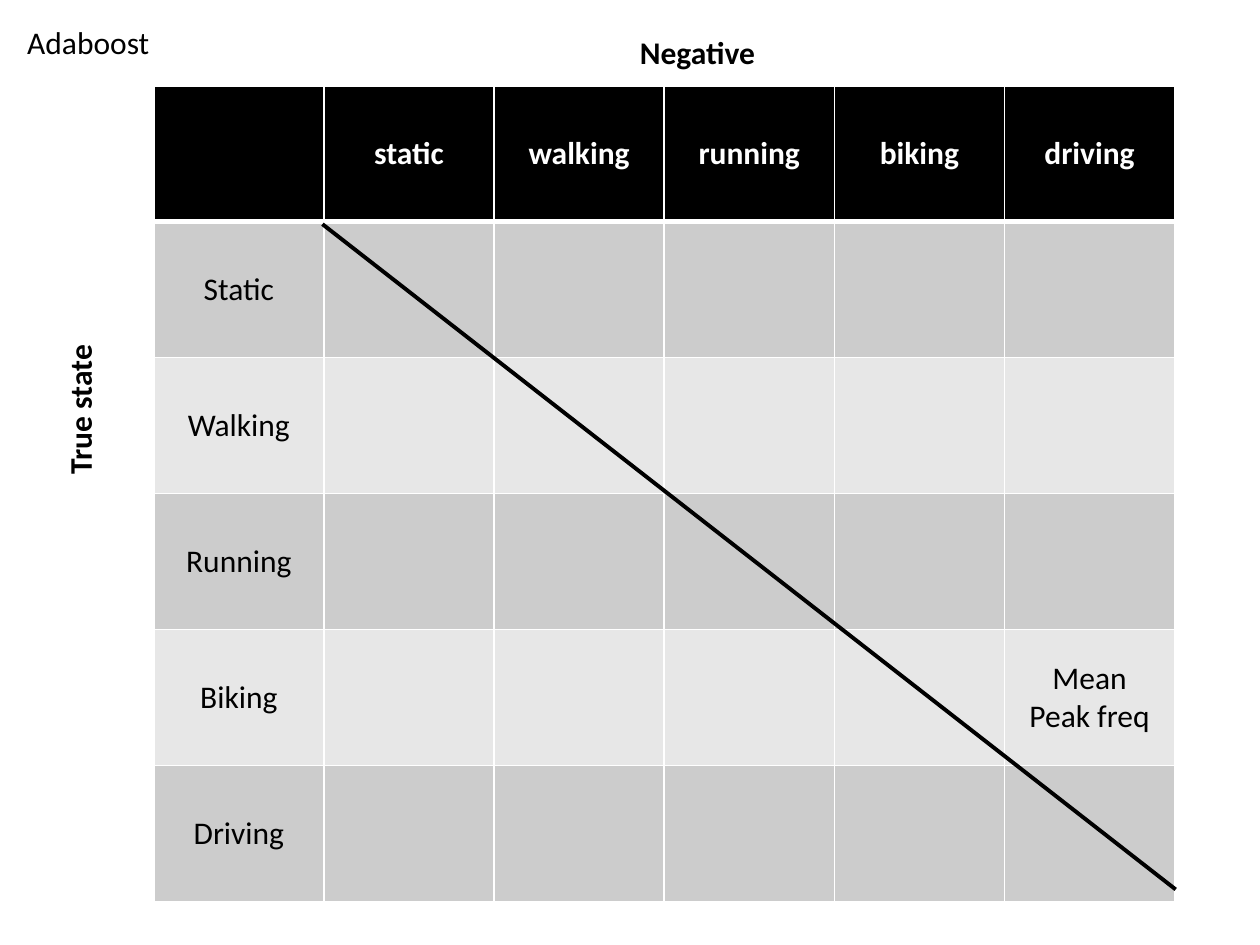
from dataclasses import dataclass

from lxml import etree
from pptx import Presentation
from pptx.dml.color import RGBColor
from pptx.enum.shapes import MSO_CONNECTOR
from pptx.enum.text import MSO_ANCHOR, MSO_AUTO_SIZE, PP_ALIGN
from pptx.oxml.ns import qn
from pptx.util import Cm, Pt

STRAIGHT = MSO_CONNECTOR.STRAIGHT
MIDDLE = MSO_ANCHOR.MIDDLE
CENTER = PP_ALIGN.CENTER
GROW = MSO_AUTO_SIZE.SHAPE_TO_FIT_TEXT


@dataclass(frozen=True)
class Theme:
    font: str = "Calibri"
    size: float = 18
    black: str = "000000"
    white: str = "FFFFFF"
    bands: tuple = ("CCCCCC", "E7E7E7")
    thin: float = 1
    thick: float = 3
    slash: float = 2.25


THEME = Theme()
STATES = ["static", "walking", "running", "biking", "driving"]
NOTES = {(4, 5): "Mean\nPeak freq"}
COUNT = len(STATES) + 1

# Grid, in cm
LEFT, TOP = 3.1, 1.73
WIDE, HIGH = 3.43, 2.74


def style(frame, color, bold=False, align=None):
    look = {"name": THEME.font, "size": Pt(THEME.size), "bold": bold}
    for para in frame.paragraphs:
        para.alignment = align
        for part in (para.font, *(run.font for run in para.runs)):
            for key, value in look.items():
                setattr(part, key, value)
            part.color.rgb = RGBColor.from_string(color)


def edge(cell, side, width):
    line = etree.SubElement(cell._tc.get_or_add_tcPr(), qn(f"a:ln{side}"),
                            w=str(Pt(width)))
    fill = etree.SubElement(line, qn("a:solidFill"))
    etree.SubElement(fill, qn("a:srgbClr"), val=THEME.white)


def add_grid(slide):
    table = slide.shapes.add_table(COUNT, COUNT, Cm(LEFT), Cm(TOP),
                                   Cm(WIDE * COUNT), Cm(HIGH * COUNT)).table
    for col in table.columns:
        col.width = Cm(WIDE)
    for row in table.rows:
        row.height = Cm(HIGH)

    # Labels by place: header row, first column, then notes
    words = dict(NOTES)
    for i, state in enumerate(STATES, 1):
        words[0, i] = state
        words[i, 0] = state.capitalize()

    for r in range(COUNT):
        head = r == 0
        back = THEME.black if head else THEME.bands[(r - 1) % 2]
        rules = {"L": THEME.thin, "R": THEME.thin,
                 "T": THEME.thick if r == 1 else THEME.thin,
                 "B": THEME.thick if head else THEME.thin}
        for c in range(COUNT):
            cell = table.cell(r, c)
            for side, width in rules.items():
                edge(cell, side, width)
            cell.fill.solid()
            cell.fill.fore_color.rgb = RGBColor.from_string(back)
            cell.vertical_anchor = MIDDLE
            cell.text_frame.text = words.get((r, c), "")
            style(cell.text_frame, THEME.white if head else THEME.black,
                  head, CENTER)


def add_label(slide, text, place, bold=False, turn=None):
    box = slide.shapes.add_textbox(*map(Cm, place))
    frame = box.text_frame
    frame.text = text
    frame.word_wrap = False
    frame.auto_size = GROW
    style(frame, THEME.black, bold)
    if turn is not None:
        box.rotation = turn
        frame._txBody.bodyPr.set("vert", "eaVert")


def add_slash(slide, start, end):
    line = slide.shapes.add_connector(STRAIGHT, *map(Cm, start + end))
    line.line.width = Pt(THEME.slash)
    line.line.color.rgb = RGBColor.from_string(THEME.black)
    etree.SubElement(line._element.spPr, qn("a:effectLst"))


def main():
    deck = Presentation()
    deck.slide_width, deck.slide_height = Cm(25.4), Cm(19.05)
    slide = deck.slides.add_slide(deck.slide_layouts[6])

    # Matrix
    add_grid(slide)

    # Axis names and title
    add_label(slide, "True state", (1.09, 6.91, 1.27, 2.9), True, 180)
    add_label(slide, "Negative", (13.31, -0.13, 1.27, 2.59), True, 270)
    add_label(slide, "Adaboost", (0.3, 0.33, 3, 1.02))

    # Diagonal
    add_slash(slide, (6.5, 4.52), (23.7, 17.93))

    deck.save("out.pptx")


if __name__ == "__main__":
    main()
